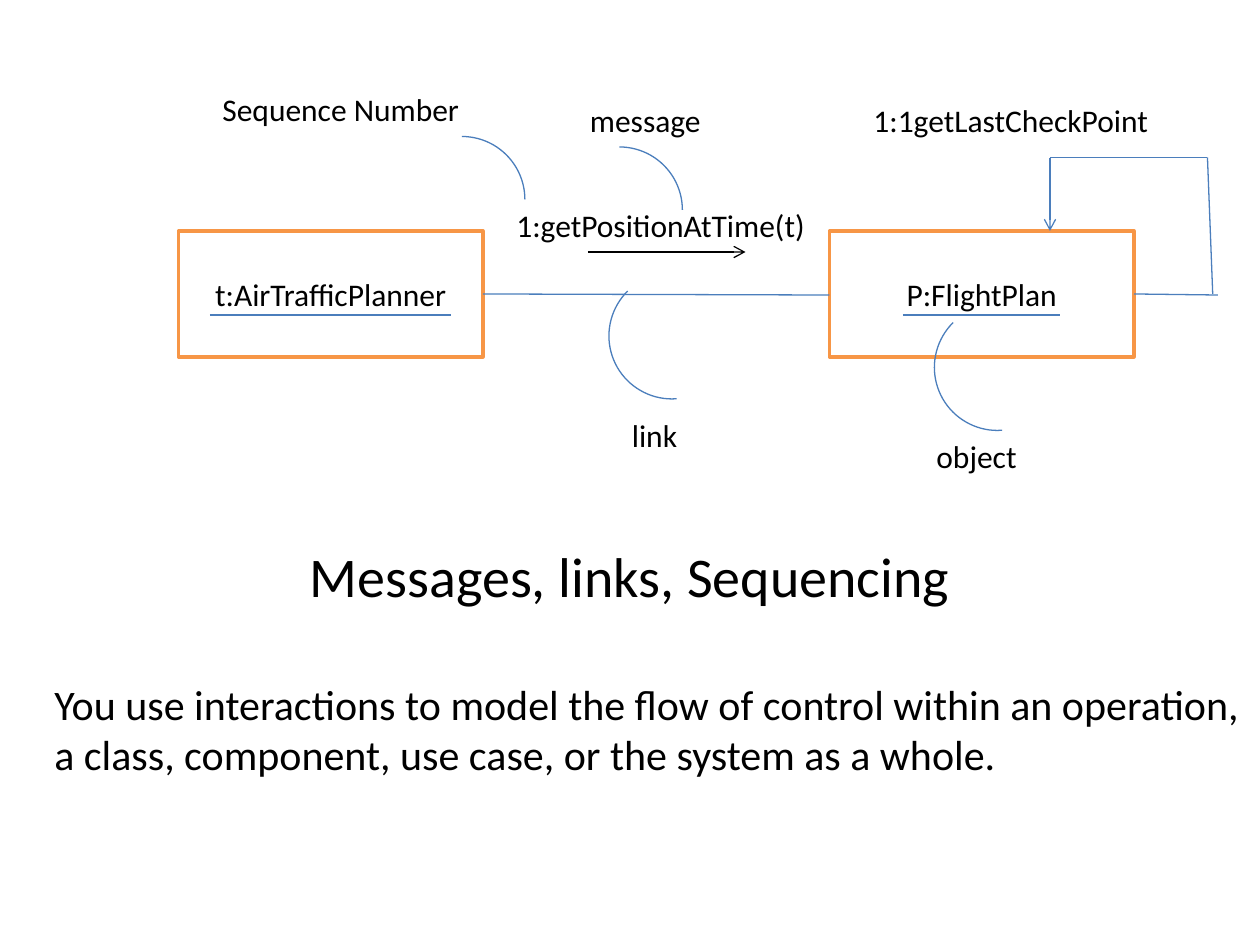
from lxml.etree import SubElement
from pptx import Presentation
from pptx.dml.color import RGBColor
from pptx.enum.shapes import MSO_CONNECTOR, MSO_SHAPE
from pptx.enum.text import MSO_ANCHOR, MSO_AUTO_SIZE, PP_ALIGN
from pptx.oxml.ns import qn
from pptx.util import Inches, Pt

COLORS = {name: RGBColor.from_string(value) for name, value in {
    "text": "000000", "box": "FFFFFF", "border": "F79646", "link": "4B7EBC"}.items()}

prs = Presentation()
prs.slide_width, prs.slide_height = Inches(10), Inches(7.5)
slide = prs.slides.add_slide(prs.slide_layouts[5])
shapes = slide.shapes
COL, ROW = prs.slide_width / 120, prs.slide_height / 90


def place(x, y, w, h):
    """Turn grid columns and rows into slide lengths."""
    return int(x * COL), int(y * ROW), int(w * COL), int(h * ROW)


def write(sp, text, size=18, align=PP_ALIGN.LEFT, **frame):
    tf = sp.text_frame
    for name, value in frame.items():
        setattr(tf, name, value)
    p = tf.paragraphs[0]
    p.alignment = align
    r = p.add_run()
    r.text = text
    for name, value in {"name": "Calibri", "size": Pt(size)}.items():
        setattr(r.font, name, value)
    r.font.color.rgb = COLORS["text"]
    return p


# Heading
title = shapes.title
title.left, title.top, title.width, title.height = place(18, 51, 84, 23)
p = write(title, "Messages, links, Sequencing", 32, PP_ALIGN.CENTER,
          vertical_anchor=MSO_ANCHOR.TOP, auto_size=MSO_AUTO_SIZE.NONE)
p.space_before = Pt(6.4)

# Objects
for x, name in ((17, "t:AirTrafficPlanner"), (79, "P:FlightPlan")):
    sp = shapes.add_shape(MSO_SHAPE.RECTANGLE, *place(x, 22, 29, 12))
    sp.shadow.inherit = False
    sp.fill.solid()
    sp.fill.fore_color.rgb = COLORS["box"]
    sp.line.color.rgb = COLORS["border"]
    sp.line.width = Pt(2)
    write(sp, name, align=PP_ALIGN.CENTER, vertical_anchor=MSO_ANCHOR.MIDDLE)

# Name underlines, links, the message arrow and the self-call loop
for x1, y1, x2, y2, color, arrow in (
        (20, 30, 43, 30, "link", False),
        (86, 30, 101, 30, "link", False),
        (46, 28, 79, 28.1, "link", False),
        (56, 24, 71, 24, "text", True),
        (100, 15, 100, 22, "link", True),
        (100, 15, 115, 15, "link", False),
        (115, 15, 115.5, 28, "link", False),
        (108, 28, 116, 28.1, "link", False)):
    line = shapes.add_connector(MSO_CONNECTOR.STRAIGHT, *place(x1, y1, x2, y2))
    line.line.color.rgb = COLORS[color]
    line.line.width = Pt(0.75)
    if arrow:
        SubElement(line.line._get_or_add_ln(), qn("a:tailEnd"), type="arrow")
    SubElement(line._element.spPr, qn("a:effectLst"))

# Callout arcs
LOWER_LEFT = (51.43, 135.24)
for x, y, angles in ((38, 13, ()), (53, 14, ()), (89, 29, LOWER_LEFT), (58, 26, LOWER_LEFT)):
    arc = shapes.add_shape(MSO_SHAPE.ARC, *place(x, y, 12, 12))
    for i, angle in enumerate(angles):
        arc.adjustments[i] = angle
    arc.shadow.inherit = False
    arc.fill.background()
    arc.line.color.rgb = COLORS["link"]
    arc.line.width = Pt(0.75)

# Labels
for x, y, w, text in (
        (48, 19, 30.2, "1:getPositionAtTime(t)"),
        (82, 9, 28.9, "1:1getLastCheckPoint"),
        (20, 8, 25.3, "Sequence Number"),
        (55, 9, 13.1, "message"),
        (59, 39, 6.7, "link"),
        (88, 41, 10.2, "object")):
    write(shapes.add_textbox(*place(x, y, w, 4.8)), text,
          word_wrap=False, auto_size=MSO_AUTO_SIZE.SHAPE_TO_FIT_TEXT)

# Explanation
write(shapes.add_textbox(*place(4, 64, 116, 10.9)),
      "You use interactions to model the flow of control within an operation, "
      "a class, component, use case, or the system as a whole.", 24,
      word_wrap=True, auto_size=MSO_AUTO_SIZE.SHAPE_TO_FIT_TEXT)

prs.save("out.pptx")
